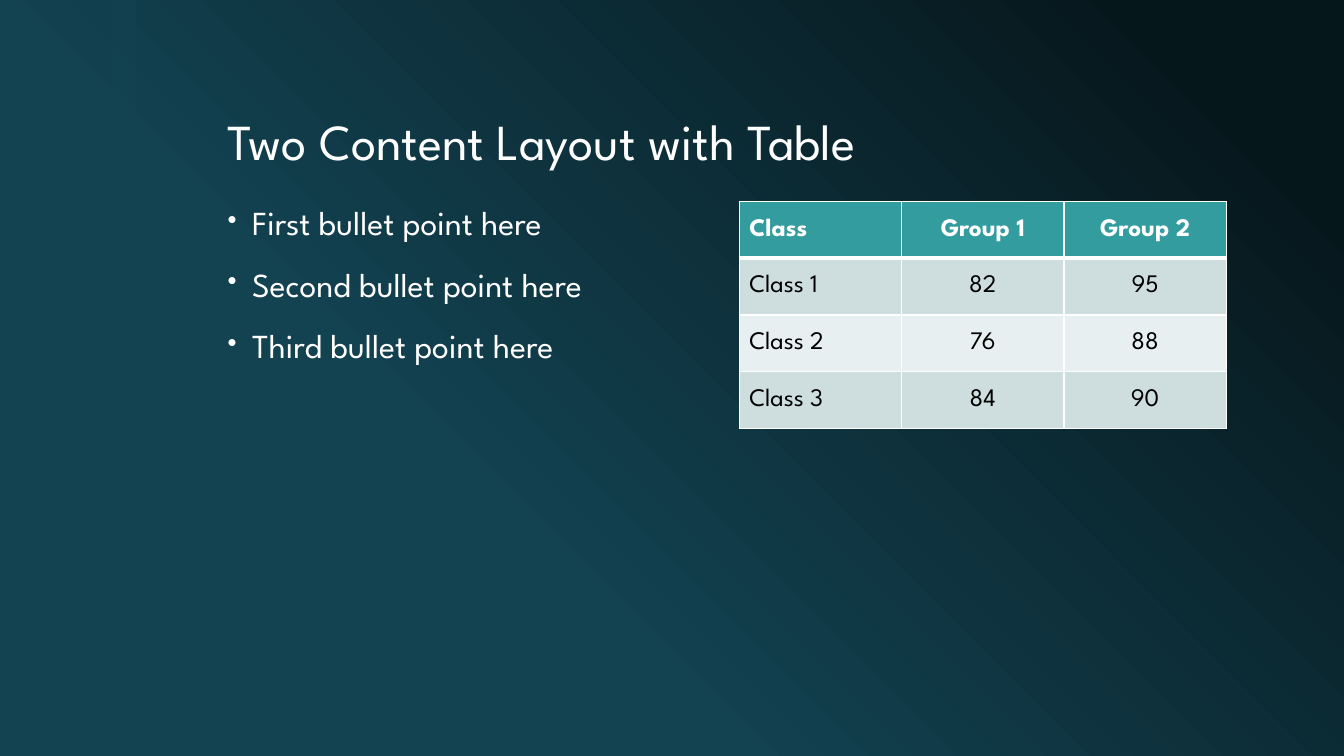
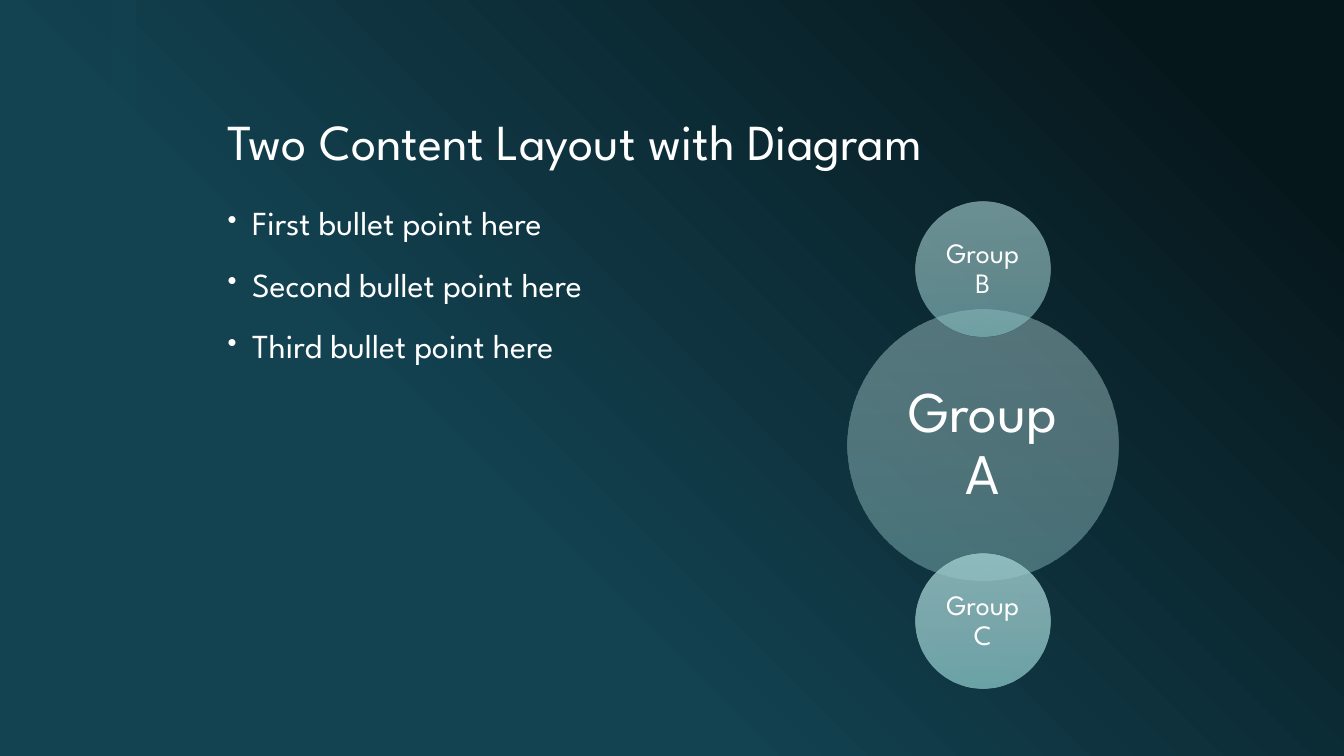
"""Build two two-column slides: bullets beside a table, and bullets beside linked circles."""
from dataclasses import dataclass

from lxml.etree import SubElement
from pptx import Presentation
from pptx.dml.color import RGBColor
from pptx.enum.shapes import MSO_SHAPE
from pptx.enum.text import MSO_ANCHOR, PP_ALIGN
from pptx.oxml.ns import qn
from pptx.util import Pt


@dataclass(frozen=True)
class Theme:
    font: str = "League Spartan"
    white: str = "FFFFFF"
    black: str = "000000"
    teal: str = "134251"
    header: str = "339C9F"
    rows: tuple = ("CEDEDF", "E8EFF0")
    backdrop: tuple = ((10, "06171C"), (65, "134251"), (100, "134251"))
    title_size: float = 36
    bullet_size: float = 24
    table_size: float = 18
    line_spacing: float = 0.9


THEME = Theme()

BULLETS = ["First bullet point here", "Second bullet point here", "Third bullet point here"]
TABLE_TITLE = "Two Content Layout with Table"
SCORES = [
    ("Class", "Group 1", "Group 2"),
    ("Class 1", "82", "95"),
    ("Class 2", "76", "88"),
    ("Class 3", "84", "90"),
]
CIRCLES_TITLE = "Two Content Layout with Diagram"
CIRCLES = [
    {"label": "Group A", "scale": 1, "place": 0, "size": 41, "inset": 4.3,
     "colors": ("A0C5C7", "94BABC", "80B3B5"), "opacity": 50},
    {"label": "Group B", "scale": 0.5, "place": -1, "size": 20, "inset": 2.2,
     "colors": ("A1CACB", "94BFC1", "80B8BA"), "opacity": 65},
    {"label": "Group C", "scale": 0.5, "place": 1, "size": 20, "inset": 2.2,
     "colors": ("A1CED0", "95C3C5", "81BEC0"), "opacity": 80},
]

SLIDE_W, SLIDE_H = 960, 540
BAND_X, BAND_W = 79.2, 18
TITLE_AREA = (155.5, 30, 720, 96)
COLUMN_Y, COLUMN_W, COLUMN_H = 144, 348, 348
LEFT_X, RIGHT_X = 155.5, 528
ROW_H = 40.5
BULLET_INDENT = 17.5


def points(*lengths):
    return [Pt(length) for length in lengths]


def set_alpha(color_element, opacity):
    SubElement(color_element, qn("a:alpha"), val=str(opacity * 1000))


def fill_solid(fill, color):
    fill.solid()
    fill.fore_color.rgb = RGBColor.from_string(color)


def fill_gradient(fill, stops, clockwise_angle, opacity=100):
    fill.gradient()
    fill.gradient_angle = 360 - clockwise_angle
    stop_list = fill._xPr.find(qn("a:gradFill")).find(qn("a:gsLst"))
    for default_stop in list(stop_list):
        stop_list.remove(default_stop)
    for position, color in stops:
        stop = SubElement(stop_list, qn("a:gs"), pos=str(position * 1000))
        set_alpha(SubElement(stop, qn("a:srgbClr"), val=color), opacity)


def add_run(paragraph, text, size, color=THEME.white, bold=False):
    run = paragraph.add_run()
    run.text = text
    run.font.name = THEME.font
    run.font.size = Pt(size)
    run.font.bold = bold
    run.font.color.rgb = RGBColor.from_string(color)


def add_plain_shape(slide, kind, *area):
    shape = slide.shapes.add_shape(kind, *points(*area))
    shape.shadow.inherit = False
    shape.line.fill.background()
    return shape


def add_text_frame(slide, area, anchor):
    frame = slide.shapes.add_textbox(*points(*area)).text_frame
    frame.word_wrap = True
    frame.vertical_anchor = anchor
    return frame


def add_bullets(slide):
    frame = add_text_frame(slide, (LEFT_X, COLUMN_Y, COLUMN_W, COLUMN_H), MSO_ANCHOR.TOP)
    for index, bullet in enumerate(BULLETS):
        paragraph = frame.add_paragraph() if index else frame.paragraphs[0]
        properties = paragraph._p.get_or_add_pPr()
        properties.set("marL", str(Pt(BULLET_INDENT)))
        properties.set("indent", str(-Pt(BULLET_INDENT)))
        SubElement(properties, qn("a:buSzPct"), val="80000")
        SubElement(properties, qn("a:buChar"), char="•")
        paragraph.line_spacing = THEME.line_spacing
        if index:
            paragraph.space_before = Pt(18)
        add_run(paragraph, bullet, THEME.bullet_size)


def add_content_slide(prs, title):
    slide = prs.slides.add_slide(prs.slide_layouts[6])
    band = add_plain_shape(slide, MSO_SHAPE.RECTANGLE, BAND_X, 0, BAND_W, SLIDE_H)
    fill_solid(band.fill, THEME.teal)
    set_alpha(band.fill._xPr.find(qn("a:solidFill"))[0], 60)
    heading = add_text_frame(slide, TITLE_AREA, MSO_ANCHOR.BOTTOM).paragraphs[0]
    heading.line_spacing = THEME.line_spacing
    add_run(heading, title, THEME.title_size)
    add_bullets(slide)
    return slide


def set_borders(cell, **widths):
    properties = cell._tc.get_or_add_tcPr()
    for side in "LRTB":
        line = SubElement(properties, qn(f"a:ln{side}"), w=str(Pt(widths.get(side, 1))))
        SubElement(SubElement(line, qn("a:solidFill")), qn("a:srgbClr"), val=THEME.white)


def add_scores(slide):
    row_count, column_count = len(SCORES), len(SCORES[0])
    table = slide.shapes.add_table(
        row_count, column_count, *points(RIGHT_X, COLUMN_Y, COLUMN_W, ROW_H * row_count)
    ).table
    table.horz_banding = False
    for row, values in enumerate(SCORES):
        is_header = row == 0
        for column, value in enumerate(values):
            cell = table.cell(row, column)
            set_borders(cell, B=3 if is_header else 1, T=3 if row == 1 else 1)
            fill_solid(cell.fill, THEME.header if is_header else THEME.rows[(row - 1) % 2])
            cell.vertical_anchor = MSO_ANCHOR.MIDDLE
            paragraph = cell.text_frame.paragraphs[0]
            paragraph.alignment = PP_ALIGN.CENTER if column else PP_ALIGN.LEFT
            add_run(paragraph, value, THEME.table_size,
                    THEME.white if is_header else THEME.black, is_header)


def add_circles(slide):
    center_x, center_y = RIGHT_X + COLUMN_W / 2, COLUMN_Y + COLUMN_H / 2
    full_diameter = COLUMN_H / 1.8
    for group in CIRCLES:
        diameter = full_diameter * group["scale"]
        middle_y = center_y + group["place"] * (COLUMN_H - diameter) / 2
        circle = add_plain_shape(slide, MSO_SHAPE.OVAL, center_x - diameter / 2,
                                 middle_y - diameter / 2, diameter, diameter)
        fill_gradient(circle.fill, zip((0, 50, 100), group["colors"]), 90, group["opacity"])
        frame = circle.text_frame
        frame.word_wrap = True
        frame.vertical_anchor = MSO_ANCHOR.MIDDLE
        inset = Pt(group["inset"])
        frame.margin_left = frame.margin_right = frame.margin_top = frame.margin_bottom = inset
        paragraph = frame.paragraphs[0]
        paragraph.alignment = PP_ALIGN.CENTER
        paragraph.line_spacing = THEME.line_spacing
        add_run(paragraph, group["label"], group["size"])


def main():
    prs = Presentation()
    prs.slide_width, prs.slide_height = points(SLIDE_W, SLIDE_H)
    fill_gradient(prs.slide_master.background.fill, THEME.backdrop, 135)
    add_scores(add_content_slide(prs, TABLE_TITLE))
    add_circles(add_content_slide(prs, CIRCLES_TITLE))
    prs.save("out.pptx")


if __name__ == "__main__":
    main()
